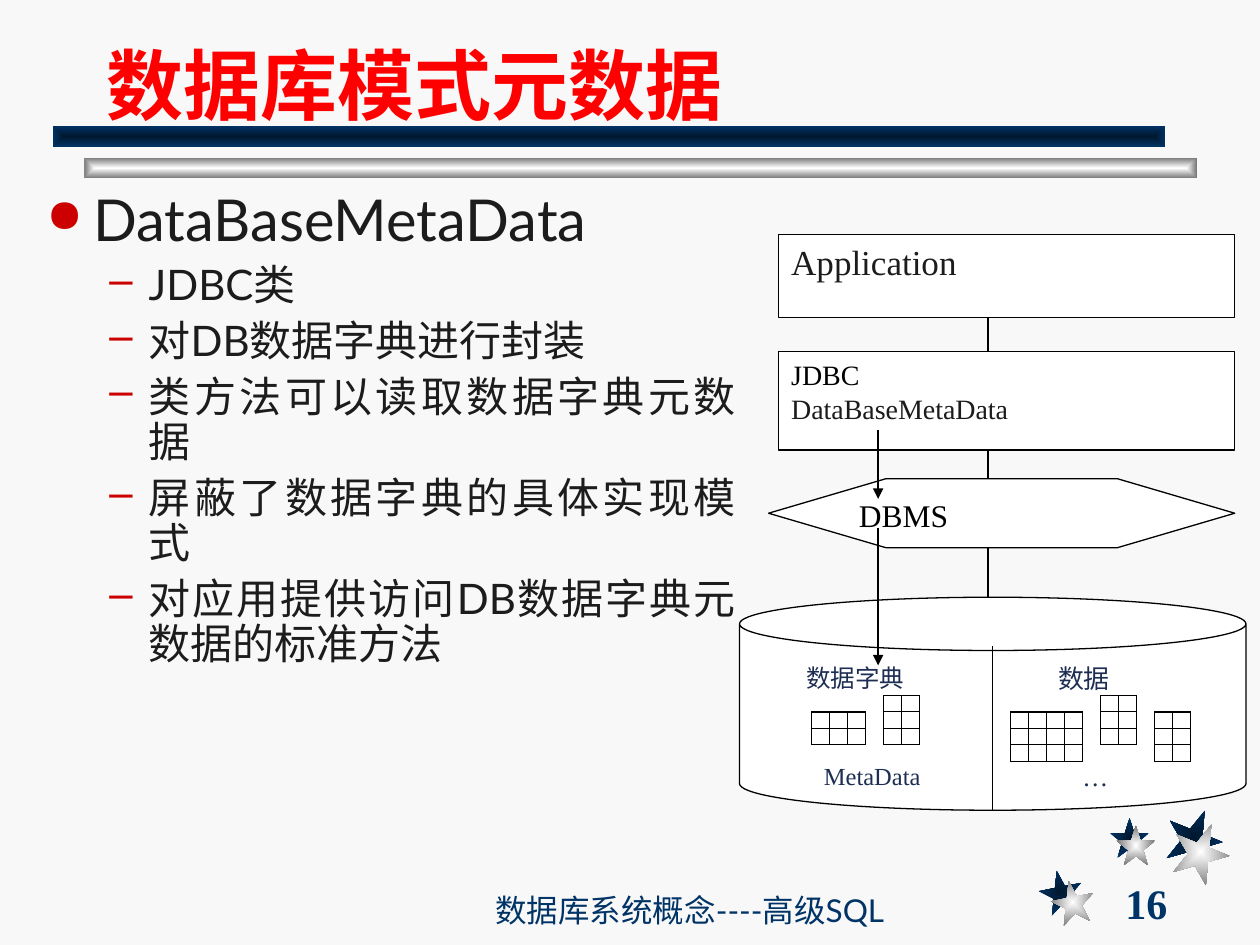
from dataclasses import dataclass

from lxml.etree import SubElement
from pptx import Presentation
from pptx.dml.color import RGBColor
from pptx.enum.shapes import MSO_CONNECTOR, MSO_SHAPE
from pptx.enum.text import MSO_ANCHOR, PP_ALIGN
from pptx.oxml.ns import qn
from pptx.util import Pt


@dataclass(frozen=True)
class Theme:
    background: str = "F8F8F8"
    white: str = "FFFFFF"
    black: str = "000000"
    ink: str = "1C1C1C"
    label: str = "1E2E53"
    navy: str = "003366"
    title: str = "FF0000"
    bullet: str = "CC0000"
    navy_gradient: tuple = ("00182F", "003366")
    silver_gradient: tuple = ("FFFFFF", "767676")
    sans: str = "Lato"
    serif: str = "Times New Roman"
    title_size: float = 44
    heading_size: float = 33
    point_size: float = 24
    page_size: float = 24
    application_size: float = 20
    footer_size: float = 18
    driver_size: float = 16
    label_size: float = 14
    data_size: float = 14.8
    line_width: float = 0.75


theme = Theme()

TITLE = "数据库模式元数据"
FOOTER = "数据库系统概念----高级SQL"
PAGE = "16"
HEADING = "DataBaseMetaData"
POINTS = [
    "JDBC类",
    "对DB数据字典进行封装",
    "类方法可以读取数据字典元数据",
    "屏蔽了数据字典的具体实现模式",
    "对应用提供访问DB数据字典元数据的标准方法",
]
LABELS = [
    ("数据字典", (453.6, 378.7, 92.9, 18.7), theme.label_size, 7.2),
    ("MetaData", (463.7, 434.9, 72, 18.7), theme.label_size, 7.2),
    ("数据", (597.6, 378.7, 72, 18.7), theme.data_size, 7.2),
    ("…", (618.5, 434.9, 31, 18.7), theme.data_size, 0),
]
LAYERS = [
    (MSO_SHAPE.RECTANGLE, (445, 133.9, 260.6, 47.5),
     [("Application", theme.ink)], theme.application_size),
    (MSO_SHAPE.RECTANGLE, (445, 200.9, 260.6, 56.2),
     [("JDBC", theme.black), ("DataBaseMetaData", theme.ink)], theme.driver_size),
    (MSO_SHAPE.HEXAGON, (439.2, 273.6, 266.4, 39.4),
     [("DBMS", theme.black)], theme.footer_size),
]
DATABASE = (422.6, 341.3, 289.4, 121.7)
CELL_WIDTH, CELL_HEIGHT = 10.3, 9.4
GRIDS = [
    (463.7, 406.8, 3, 2),
    (504.9, 397.4, 2, 3),
    (577.4, 406.8, 4, 3),
    (628.8, 397.4, 2, 3),
    (659.7, 406.8, 2, 3),
]
LINK_X, ARROW_X = 564.5, 501.8
ARROWS = [(245.5, 285.1), (301.7, 380.2)]
BARS = [
    ((48.2, 90, 635.8, 12), theme.silver_gradient),
    ((30.2, 72, 635.8, 12), theme.navy_gradient),
]
STARS = [
    ((594, 497.5, 24.5, 24.5), (6.8, 5.8), -11),
    ((634.3, 467.3, 22.3, 23), (3.6, 4.3), 0),
    ((666, 462.2, 32.4, 33.1), (3.8, 7.9), 22),
]

presentation = Presentation()
presentation.slide_width, presentation.slide_height = Pt(720), Pt(540)
slide = presentation.slides.add_slide(presentation.slide_layouts[6])
slide.background.fill.solid()
slide.background.fill.fore_color.rgb = RGBColor.from_string(theme.background)


def add_shape(preset, box, outlined=False):
    shape = slide.shapes.add_shape(preset, *map(Pt, box))
    shape.shadow.inherit = False
    shape.fill.solid()
    shape.fill.fore_color.rgb = RGBColor.from_string(theme.white)
    if outlined:
        shape.line.color.rgb = RGBColor.from_string(theme.black)
        shape.line.width = Pt(theme.line_width)
    else:
        shape.line.fill.background()
    return shape


def add_glow(preset, box, colors, rotation=0):
    shape = add_shape(preset, box)
    shape.rotation = rotation
    shape.fill.gradient()
    for stop, color in zip(shape.fill.gradient_stops, colors):
        stop.color.rgb = RGBColor.from_string(color)
    gradient = shape._element.spPr.find(qn("a:gradFill"))
    gradient.remove(gradient.find(qn("a:lin")))
    center = SubElement(gradient, qn("a:path"), path="rect")
    SubElement(center, qn("a:fillToRect"), l="50000", t="50000", r="50000", b="50000")


def add_line(x1, y1, x2, y2, arrow=False):
    line = slide.shapes.add_connector(MSO_CONNECTOR.STRAIGHT, *map(Pt, (x1, y1, x2, y2)))
    line.line.color.rgb = RGBColor.from_string(theme.black)
    line.line.width = Pt(theme.line_width)
    if arrow:
        SubElement(line.line._get_or_add_ln(), qn("a:tailEnd"), type="triangle")
    SubElement(line._element.spPr, qn("a:effectLst"))


def prepare_frame(shape, anchor=MSO_ANCHOR.TOP, side=7.2, edge=3.6):
    frame = shape.text_frame
    frame.word_wrap = True
    frame.vertical_anchor = anchor
    frame.margin_left = frame.margin_right = Pt(side)
    frame.margin_top = frame.margin_bottom = Pt(edge)
    return frame


def set_paragraph(paragraph, text, size, color, face, bold=False, align=PP_ALIGN.LEFT):
    paragraph.text = text
    paragraph.alignment = align
    paragraph.font.size = Pt(size)
    paragraph.font.name = face
    paragraph.font.bold = bold
    paragraph.font.color.rgb = RGBColor.from_string(color)


def add_text(box, text, size, color, face, anchor, bold=False):
    frame = prepare_frame(slide.shapes.add_textbox(*map(Pt, box)), anchor)
    set_paragraph(frame.paragraphs[0], text, size, color, face, bold)


def add_bullet(paragraph, mark, scale, left, hanging):
    properties = paragraph._p.get_or_add_pPr()
    properties.set("marL", str(Pt(left)))
    properties.set("indent", str(-Pt(hanging)))
    SubElement(SubElement(properties, qn("a:buClr")), qn("a:srgbClr"), val=theme.bullet)
    SubElement(properties, qn("a:buSzPct"), val=str(scale * 1000))
    SubElement(properties, qn("a:buChar"), char=mark)


for shade, shifted in ((theme.navy_gradient, 0), (theme.silver_gradient, 1)):
    for (left, top, width, height), (dx, dy), turn in STARS:
        add_glow(MSO_SHAPE.STAR_5_POINT,
                 (left + dx * shifted, top + dy * shifted, width, height), shade, turn)
for box, shade in BARS:
    add_glow(MSO_SHAPE.RECTANGLE, box, shade)

add_text((636, 504, 78, 24), PAGE, theme.page_size, theme.navy, theme.serif,
         MSO_ANCHOR.MIDDLE, True)
add_text((276, 510, 294, 24), FOOTER, theme.footer_size, theme.navy, theme.sans,
         MSO_ANCHOR.BOTTOM)
add_text((54, 12, 612, 66), TITLE, theme.title_size, theme.title, theme.sans,
         MSO_ANCHOR.BOTTOM, True)

body = prepare_frame(slide.shapes.add_textbox(Pt(19.4), Pt(105.8), Pt(408.2), Pt(371.5)))
for index, text in enumerate([HEADING] + POINTS):
    paragraph = body.add_paragraph() if index else body.paragraphs[0]
    if index:
        paragraph.level = 1
        add_bullet(paragraph, "–", 100, 58.5, 22.5)
        paragraph.space_before = Pt(6)
    else:
        add_bullet(paragraph, "●", 80, 27, 27)
    paragraph.line_spacing = 0.9
    set_paragraph(paragraph, text, theme.point_size if index else theme.heading_size,
                  theme.ink, theme.sans, align=PP_ALIGN.JUSTIFY)

add_shape(MSO_SHAPE.CAN, DATABASE, True)
divider_x, database_bottom = DATABASE[0] + DATABASE[2] / 2, DATABASE[1] + DATABASE[3]
add_line(divider_x, 369.4, divider_x, database_bottom)

for text, box, size, side in LABELS:
    frame = prepare_frame(add_shape(MSO_SHAPE.RECTANGLE, box), side=side, edge=0)
    set_paragraph(frame.paragraphs[0], text, size, theme.label, theme.serif,
                  align=PP_ALIGN.JUSTIFY)

for left, top, columns, rows in GRIDS:
    right, bottom = left + columns * CELL_WIDTH, top + rows * CELL_HEIGHT
    for row in range(rows + 1):
        y = top + row * CELL_HEIGHT
        add_line(left, y, right, y)
    for column in range(columns + 1):
        x = left + column * CELL_WIDTH
        add_line(x, top, x, bottom)

for preset, box, lines, size in LAYERS:
    layer = add_shape(preset, box, True)
    if preset == MSO_SHAPE.HEXAGON:
        layer.adjustments[0] = 1.7
    frame = prepare_frame(layer)
    for index, (text, color) in enumerate(lines):
        paragraph = frame.add_paragraph() if index else frame.paragraphs[0]
        set_paragraph(paragraph, text, size, color, theme.serif)

stack = [box for _, box, _, _ in LAYERS] + [DATABASE]
for upper, lower in zip(stack, stack[1:]):
    add_line(LINK_X, upper[1] + upper[3], LINK_X, lower[1])
for start, end in ARROWS:
    add_line(ARROW_X, start, ARROW_X, end, True)

presentation.save("out.pptx")
